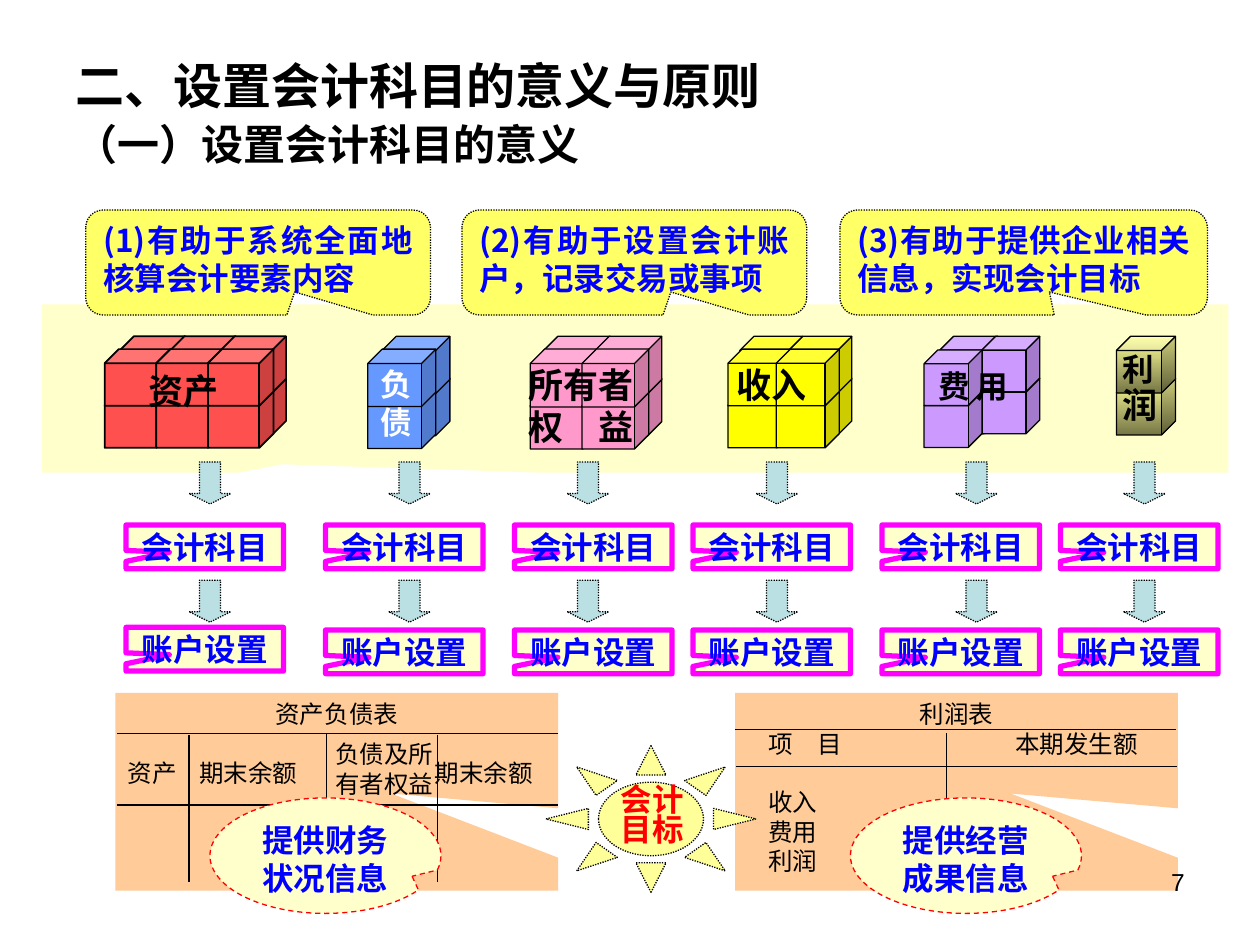
from dataclasses import dataclass
from pptx import Presentation
from pptx.util import Pt
from pptx.dml.color import RGBColor as RGB
from pptx.enum.dml import MSO_LINE as Dash
from pptx.enum.shapes import MSO_SHAPE as Kind, MSO_CONNECTOR as Conn
from pptx.enum.text import PP_ALIGN as Align, MSO_ANCHOR as Anchor, MSO_AUTO_SIZE as Fit
from pptx.oxml.ns import qn
from lxml.etree import SubElement as Sub


@dataclass(frozen=True)
class Theme:
    black: str = "000000"
    white: str = "FFFFFF"
    blue: str = "0000FF"
    red: str = "FF0000"
    pink: str = "FF00FF"
    cream: str = "FFFFCC"
    lemon: str = "FFFF66"
    teal: str = "BBE0E3"
    peach: str = "FFCC99"
    gold: str = "FFFF99"
    olive: str = "767647"
    head: int = 28
    sub: int = 24
    big: int = 20
    mid: int = 18
    small: int = 14
    sans: str = "Arial"
    serif: str = "Times New Roman"
    han: str = "Noto Sans CJK SC"


T = Theme()


# Text
def style(run, size, color, face, bold):
    font = run.font
    font.size, font.bold, font.name = Pt(size), bold, face
    font.color.rgb = RGB.from_string(color)
    Sub(run._r.get_or_add_rPr(), qn("a:ea"), typeface=T.han)


def write(shape, text, size, color=T.black, face=T.serif, bold=True,
          align=Align.CENTER, lead=1.2):
    frame = shape.text_frame
    frame.word_wrap, frame.vertical_anchor = True, Anchor.TOP
    frame.text = text
    for para in frame.paragraphs:
        para.alignment = align
        para.line_spacing = Pt(round(size * lead, 1))
        for run in para.runs:
            style(run, size, color, face, bold)
    return shape


def label(slide, box, text, size, **look):
    area = slide.shapes.add_textbox(*map(Pt, box))
    return write(area, text, size, **look)


def title(slide, lines):
    body = slide.placeholders[1]
    body.left, body.top, body.width, body.height = map(Pt, (36, 30, 648, 90))
    frame = body.text_frame
    frame.auto_size = Fit.NONE
    frame.text = "\n".join(text for text, *_ in lines)
    for para, (_, size, lead, gap) in zip(frame.paragraphs, lines):
        props = para._p.get_or_add_pPr()
        props.set("marL", str(Pt(27)))
        props.set("indent", str(-Pt(27)))
        para.line_spacing, para.space_before = Pt(lead), Pt(gap)
        Sub(props, qn("a:buNone"))
        style(para.runs[0], size, T.black, T.han, True)


# Shapes
def form(slide, kind, box, fill, line=None, width=0.75, dash=None, adj=()):
    shape = slide.shapes.add_shape(kind, *map(Pt, box))
    shape.shadow.inherit = False
    for i, value in enumerate(adj):
        shape.adjustments[i] = value
    if isinstance(fill, tuple):
        shape.fill.gradient()
        shape.fill.gradient_angle = 270
        for stop, color in zip(shape.fill.gradient_stops, fill):
            stop.color.rgb = RGB.from_string(color)
    else:
        shape.fill.solid()
        shape.fill.fore_color.rgb = RGB.from_string(fill)
    if line is None:
        shape.line.fill.background()
    else:
        shape.line.color.rgb = RGB.from_string(line)
        shape.line.width = Pt(width)
        if dash:
            shape.line.dash_style = dash
    return shape


def rule(slide, x1, y1, x2, y2):
    line = slide.shapes.add_connector(Conn.STRAIGHT, *map(Pt, (x1, y1, x2, y2)))
    line.line.color.rgb = RGB.from_string(T.black)
    line.line.width = Pt(0.75)
    Sub(line._element.spPr, qn("a:effectLst"))


def layer(slide, x, y, cols, step, size, fill, width):
    """Two rows of cubes, bottom row first so that the upper one overlaps."""
    for col in range(cols):
        for row in (1, 0):
            box = (x + col * step, y + row * 24, *size)
            form(slide, Kind.CUBE, box, fill, T.black, width, adj=[0.25])


def bubble(slide, x, width, tail, text):
    shape = form(slide, Kind.ROUNDED_RECTANGULAR_CALLOUT, (x, 120, width, 60),
                 T.lemon, T.black, dash=Dash.ROUND_DOT, adj=[tail, 0.281, 0.167])
    write(shape, text, T.mid, color=T.blue, face=T.han, align=Align.JUSTIFY)


def arrow(slide, x, y):
    form(slide, Kind.DOWN_ARROW, (x, y, 24, 24), T.teal, T.black,
         dash=Dash.ROUND_DOT, adj=[0.5, 0.25])


def tag(slide, x, y, text):
    shape = form(slide, Kind.RECTANGULAR_CALLOUT, (x, y, 90, 25), T.cream,
                 T.pink, 3, adj=[-0.225, 0.126])
    write(shape, text, T.mid, color=T.blue, face=T.sans, lead=1.1)


def sheet(slide, x, name, cells, rules):
    shape = form(slide, Kind.RECTANGULAR_CALLOUT, (x, 396, 253, 113), T.peach,
                 adj=[0.123, 0.009])
    write(shape, name, T.small, bold=False)
    for left, top, width, height, text, align in cells:
        label(slide, (left, top, width, height), text, T.small, bold=False,
              align=align)
    for ends in rules:
        rule(slide, *ends)


def cloud(slide, x, text):
    shape = form(slide, Kind.OVAL_CALLOUT, (x, 456, 132, 66), T.cream, T.red,
                 dash=Dash.DASH, adj=[0.375, 0.178])
    write(shape, text, T.mid, color=T.blue, face=T.sans)


def main():
    deck = Presentation()
    deck.slide_width, deck.slide_height = Pt(720), Pt(540)
    slide = deck.slides.add_slide(deck.slide_layouts[1])
    head = slide.shapes.title._element
    head.getparent().remove(head)
    title(slide, [("二、设置会计科目的意义与原则", T.head, 32, 0),
                  ("（一）设置会计科目的意义", T.sub, 26, 5)])

    # Band with the six groups of cubes: layers are x, y, columns, step
    form(slide, Kind.RECTANGULAR_CALLOUT, (24, 174, 678, 96), T.cream,
         adj=[-0.298, 0.451])
    groups = [
        ("FF5050", (37.5, 32.4), 1, [(68.4, 192.2, 3, 28.8), (59.8, 199.5, 3, 29.5)]),
        ("6699FF", (38.9, 32.8), 0.75, [(218.2, 192.2, 1, 0), (210.2, 199.5, 1, 0)]),
        ("FF99CC", (38.2, 33.1), 0.75, [(310.5, 192.2, 2, 29.4), (303, 199.5, 2, 29.6)]),
        ("FFFF00", (36, 32.4), 0.75, [(422.8, 192.2, 2, 28), (416, 199.5, 2, 27.6)]),
        ("CC99FF", (33.2, 31.7), 0.75, [(537, 192.2, 2, 24), (528, 200, 1, 0)]),
        ((T.gold, T.olive), (33.8, 32.4), 0.75, [(638, 192.2, 1, 0)]),
    ]
    for fill, size, width, layers in groups:
        for spot in layers:
            layer(slide, *spot, size, fill, width)
    label(slide, (70.5, 207.5, 69, 40), "资产", T.big)
    label(slide, (210.2, 205.2, 28, 35), "负债", T.mid, color=T.white)
    label(slide, (293, 204, 78.5, 53), "所有者\n权　益", T.big)
    label(slide, (414, 204, 62.6, 40), "收入", T.big, align=Align.LEFT)
    label(slide, (527, 206, 58.3, 40), "费 用", T.mid)
    gain = label(slide, (634.3, 196.6, 32.4, 58), "利", T.mid)
    run = gain.text_frame.paragraphs[0].add_run()
    run.text = "润"
    style(run, T.big, T.black, T.serif, True)

    # Three reasons
    bubble(slide, 49, 197, 0.106, "(1)有助于系统全面地核算会计要素内容")
    bubble(slide, 264, 197, 0.106, "(2)有助于设置会计账户，记录交易或事项")
    bubble(slide, 480, 210, 0.07, "(3)有助于提供企业相关信息，实现会计目标")

    # Six columns: arrow, subject, arrow, account
    tags = (72, 186, 294, 396, 504, 606)
    arrows = (108, 222, 324, 432, 546, 642)
    for i, (left, tip) in enumerate(zip(tags, arrows)):
        arrow(slide, tip, 264)
        tag(slide, left, 300, "会计科目")
        arrow(slide, tip, 331.5)
        tag(slide, left, 360 if i else 358.5, "账户设置")

    # Balance sheet
    mid, left = Align.CENTER, Align.LEFT
    sheet(slide, 66, "资产负债表",
          [(62, 429.5, 50, 24, "资产", mid),
           (102, 429.5, 80, 24, "期末余额", mid),
           (180.7, 419, 77.8, 42, "负债及所有者权益", mid),
           (236.5, 429.5, 80, 24, "期末余额", mid)],
          [(67, 419, 319, 419), (67, 460, 319, 460), (186.5, 509, 186.5, 419),
           (108, 420, 108, 504), (250, 420, 250, 504)])

    # Income statement
    sheet(slide, 420, "利润表",
          [(432, 413, 70, 24, "项　目", left),
           (573, 413, 90, 24, "本期发生额", left),
           (432, 446.3, 70, 58, "收入\n费用\n利润", left)],
          [(420, 417, 672, 417), (420.5, 438, 672.5, 438), (541, 509, 541, 419)])

    # Goal and the two kinds of information
    cloud(slide, 486, "提供经营成果信息")
    form(slide, Kind.SUN, (312, 426, 120, 84), T.gold, T.black,
         dash=Dash.ROUND_DOT, adj=[0.25])
    label(slide, (342.7, 446.5, 59.8, 47.5), "会计目标", T.mid, color=T.red,
          lead=0.96)
    cloud(slide, 120, "提供财务状况信息")
    label(slide, (516, 492, 168, 37), "7", T.small, face=T.sans, bold=False,
          align=Align.RIGHT)
    deck.save("out.pptx")


if __name__ == "__main__":
    main()
